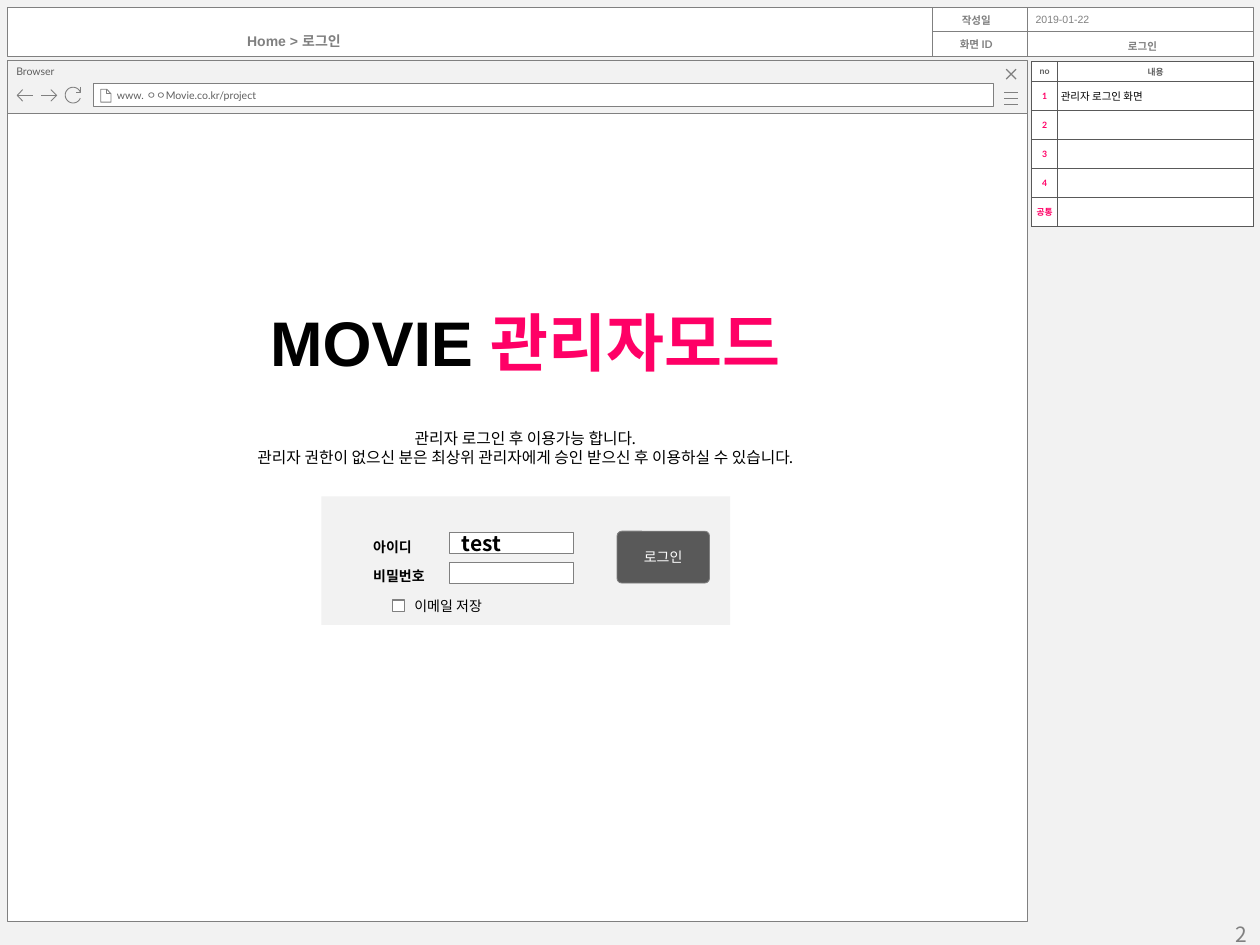
from math import cos, radians, sin

from lxml.etree import SubElement
from pptx import Presentation
from pptx.dml.color import RGBColor
from pptx.enum.shapes import MSO_CONNECTOR, MSO_SHAPE
from pptx.enum.text import MSO_ANCHOR, PP_ALIGN
from pptx.oxml.ns import qn
from pptx.util import Pt

GRAY, DARK, PALE, WHITE = "808080", "595959", "F2F2F2", "FFFFFF"
LABEL, PINK, BLACK = "5F5F5F", "FF0066", "000000"
NOTO = "Noto Sans CJK KR"
LEFT, CENTER, RIGHT = PP_ALIGN.LEFT, PP_ALIGN.CENTER, PP_ALIGN.RIGHT
TOP, MIDDLE = MSO_ANCHOR.TOP, MSO_ANCHOR.MIDDLE
DEFAULT_INSETS = (7.2, 3.6, 7.2, 3.6)
SMALL_INSETS = (5, 2.8, 5, 2.8)

# Box: left, top, width, height, fill, line width, text style
URL_STYLE = dict(size=6, font="Lato", color=LABEL, anchor=MIDDLE, insets=(13.5, 2.8, 5, 2.8))
BROWSER_BOXES = [
    ((4.3, 64.8, 582.9, 461.5), WHITE, 0.25, "", {}),
    ((4.3, 34.6, 582.9, 30.2), PALE, 0.5, "Browser",
     dict(size=6, font="Lato", color=LABEL, insets=(5, 2.8, 13, 2.8))),
    ((53.3, 47.5, 514.4, 13.5), WHITE, 0.5, "www. ㅇㅇMovie.co.kr/project", URL_STYLE),
]
HEADER_BOX = ((4.3, 4.3, 711.7, 28), WHITE, 0.5, "", {})
LOGIN_BOXES = [
    ((183.6, 283.7, 233.6, 73.4), PALE, 0, "", {}),
    ((256.8, 304.2, 71, 12.2), WHITE, 0.5, "test",
     dict(size=12, bold=True, anchor=MIDDLE, insets=(7, 4.3, 7, 4.3))),
    ((256.8, 321.3, 71, 12.2), WHITE, 0.5, "", {}),
    ((224.1, 342.9, 7, 6.5), WHITE, 0.75, "", {}),
]
LOGIN_BUTTON = ((352.6, 303.6, 52.8, 29.6), DARK, 0.5, "로그인",
                dict(size=8, font="Lato", color=WHITE, align=CENTER, anchor=MIDDLE,
                     insets=SMALL_INSETS))

HEADER_LINES = [
    (532.8, 18.1, 716, 18.1),
    (532.8, 4.3, 532.8, 32.3),
    (587.2, 4.3, 587.2, 32.3),
]

HEADER_LABEL = dict(size=6, font="Lato", color=GRAY, bold=True, align=CENTER,
                    anchor=MIDDLE, insets=(0, 0, 4.3, 0))
FIELD_LABEL = dict(size=8, bold=True, insets=(7.2, 3.6, 0, 3.6))
TEXTS = [
    ("작성일", (533, 4.3, 54, 14.2), HEADER_LABEL),
    ("화면 ID", (533, 18.1, 54, 14.2), HEADER_LABEL),
    ("로그인", (587, 18.1, 127.4, 14.2),
     dict(size=6, font="Arial", color=GRAY, bold=True, align=CENTER, anchor=MIDDLE,
          insets=(4.3, 2.2, 0, 0))),
    ("2019-01-22", (587.5, 5, 127.4, 13),
     dict(size=6, font="Arial", color=GRAY, insets=(4.3, 2.2, 0, 2.2))),
    ("Home > 로그인", (136.2, 15.8, 69.1, 15.1),
     dict(size=8, font="Arial", color=GRAY, bold=True, insets=SMALL_INSETS)),
    ("관리자 로그인 후 이용가능 합니다.\v"
     "관리자 권한이 없으신 분은 최상위 관리자에게 승인 받으신 후 이용하실 수 있습니다.",
     (136.2, 241.4, 328, 30), dict(size=9, align=CENTER, spacing=11, insets=(0, 3.6, 0, 3.6))),
    ("아이디", (206.2, 304, 36, 18), FIELD_LABEL),
    ("비밀번호", (206.2, 321, 44, 18), FIELD_LABEL),
    ("이메일 저장", (231.8, 338.4, 54, 15.1), dict(size=8, insets=SMALL_INSETS)),
    ("2", (558, 527.8, 162, 12.2),
     dict(size=12, color=GRAY, align=RIGHT, anchor=MIDDLE, wrap=True)),
]
HEADLINE = [("MOVIE ", BLACK), ("관리자모드", PINK)]

NOTES = [("no", "내용"), ("1", "관리자 로그인 화면"), ("2", ""), ("3", ""), ("4", ""), ("공통", "")]

# Icon: line width, strokes of points
ARC = [(41.8 + 4.5 * cos(radians(a)), 54.4 + 4.5 * sin(radians(a))) for a in range(23, 336, 12)]
ICONS = [
    (0.5, [[(573.8, y), (582, y)] for y in (52.8, 56.2, 59.6)]),
    (0.75, [[(575, 39.6), (580.6, 45.2)], [(580.6, 39.6), (575, 45.2)]]),
    (0.5, [[(61, 51), (61, 53.6), (63.4, 53.6)],
           [(57.6, 51), (57.6, 58.4), (63.4, 58.4), (63.4, 53.6), (61, 51), (57.6, 51)]]),
    (0.5, [[(13, 57.8), (9.8, 54.5), (13, 51.2)], [(9.8, 54.5), (18.9, 54.5)]]),
    (0.5, [[(29.1, 51.2), (32.4, 54.5), (29.1, 57.8)], [(32.4, 54.5), (23.4, 54.5)]]),
    (0.5, [[(46.1, 49.7), (46.1, 52.6), (43.2, 52.6)], ARC]),
]


def rgb(value):
    return RGBColor.from_string(value)


def points(values):
    return [Pt(value) for value in values]


def style_run(run, size, font, color, bold):
    run.font.size, run.font.name, run.font.bold = Pt(size), font, bold
    run.font.color.rgb = rgb(color)
    SubElement(run._r.get_or_add_rPr(), qn("a:ea"), typeface=NOTO)


def set_margins(target, insets):
    (target.margin_left, target.margin_top,
     target.margin_right, target.margin_bottom) = points(insets)


def write(shape, text, size=8, font=NOTO, color=BLACK, bold=False, align=LEFT,
          anchor=TOP, insets=DEFAULT_INSETS, wrap=False, spacing=None):
    frame = shape.text_frame
    frame.word_wrap, frame.vertical_anchor = wrap, anchor
    set_margins(frame, insets)
    frame.text = text
    paragraph = frame.paragraphs[0]
    paragraph.alignment = align
    if spacing:
        paragraph.line_spacing = Pt(spacing)
    for run in paragraph.runs:
        style_run(run, size, font, color, bold)


def add_box(slide, box, fill, line_width, text, style, kind=MSO_SHAPE.RECTANGLE):
    shape = slide.shapes.add_shape(kind, *points(box))
    shape.shadow.inherit = False
    shape.fill.solid()
    shape.fill.fore_color.rgb = rgb(fill)
    if line_width:
        shape.line.color.rgb = rgb(GRAY)
        shape.line.width = Pt(line_width)
    else:
        shape.line.fill.background()
    if text:
        write(shape, text, wrap=True, **style)
    return shape


def add_icon(slide, line_width, strokes):
    """Draw open strokes, in hundredths of a point for precision."""
    scaled = [[(x * 100, y * 100) for x, y in stroke] for stroke in strokes]
    builder = slide.shapes.build_freeform(*scaled[0][0], scale=Pt(1) / 100)
    for index, stroke in enumerate(scaled):
        if index:
            builder.move_to(*stroke[0])
        builder.add_line_segments(stroke[1:], close=False)
    shape = builder.convert_to_shape()
    shape.shadow.inherit = False
    shape.fill.background()
    shape.line.color.rgb = rgb(GRAY)
    shape.line.width = Pt(line_width)


def add_line(slide, ends):
    line = slide.shapes.add_connector(MSO_CONNECTOR.STRAIGHT, *points(ends))
    line.line.color.rgb = rgb(GRAY)
    line.line.width = Pt(0.75)
    SubElement(line._element.spPr, qn("a:effectLst"))


def style_cell(cell, text, size, font, color, bold, align):
    properties = cell._tc.get_or_add_tcPr()
    for side in ("lnL", "lnR", "lnT", "lnB"):
        border = SubElement(properties, qn(f"a:{side}"), w=str(Pt(0.5)))
        SubElement(SubElement(border, qn("a:solidFill")), qn("a:srgbClr"), val=DARK)
    cell.fill.solid()
    cell.fill.fore_color.rgb = rgb(WHITE)
    cell.vertical_anchor = MIDDLE
    set_margins(cell, (1.8 if align == LEFT else 0, 0, 0, 0))
    cell.text = text
    paragraph = cell.text_frame.paragraphs[0]
    paragraph.alignment = align
    for run in paragraph.runs:
        style_run(run, size, font, color, bold)
    if not text:
        paragraph._p.get_or_add_endParaRPr().set("sz", str(size * 100))


def add_notes_table(slide):
    frame = slide.shapes.add_table(len(NOTES), 2, *points((589.5, 35.1, 126.9, 94.5)))
    table = frame.table
    table.columns[0].width, table.columns[1].width = Pt(14.9), Pt(112)
    for row, (number, note) in enumerate(NOTES):
        table.rows[row].height = Pt(16.6 if row else 11.5)
        style_cell(table.cell(row, 0), number, 5, "Lato", PINK if row else LABEL, True, CENTER)
        note_style = (6, "Arial", BLACK, False, LEFT) if row else (5, "Arial", LABEL, True, CENTER)
        style_cell(table.cell(row, 1), note, *note_style)


def add_headline(slide):
    shape = slide.shapes.add_textbox(*points((144, 173.5, 312.5, 56.9)))
    write(shape, "", insets=(0, 0, 0, 0), wrap=True, align=CENTER)
    for text, color in HEADLINE:
        run = shape.text_frame.paragraphs[0].add_run()
        run.text = text
        style_run(run, 36, "Arial", color, True)


def main():
    presentation = Presentation()
    presentation.slide_width, presentation.slide_height = Pt(720), Pt(540)
    slide = presentation.slides.add_slide(presentation.slide_layouts[6])
    slide.background.fill.solid()
    slide.background.fill.fore_color.rgb = rgb(PALE)
    for box in BROWSER_BOXES + [HEADER_BOX] + LOGIN_BOXES:
        add_box(slide, *box)
    button = add_box(slide, *LOGIN_BUTTON, kind=MSO_SHAPE.ROUNDED_RECTANGLE)
    button.adjustments[0] = 0.09
    for icon in ICONS:
        add_icon(slide, *icon)
    for ends in HEADER_LINES:
        add_line(slide, ends)
    for text, box, style in TEXTS:
        write(slide.shapes.add_textbox(*points(box)), text, **style)
    add_notes_table(slide)
    add_headline(slide)
    presentation.save("out.pptx")


if __name__ == "__main__":
    main()
